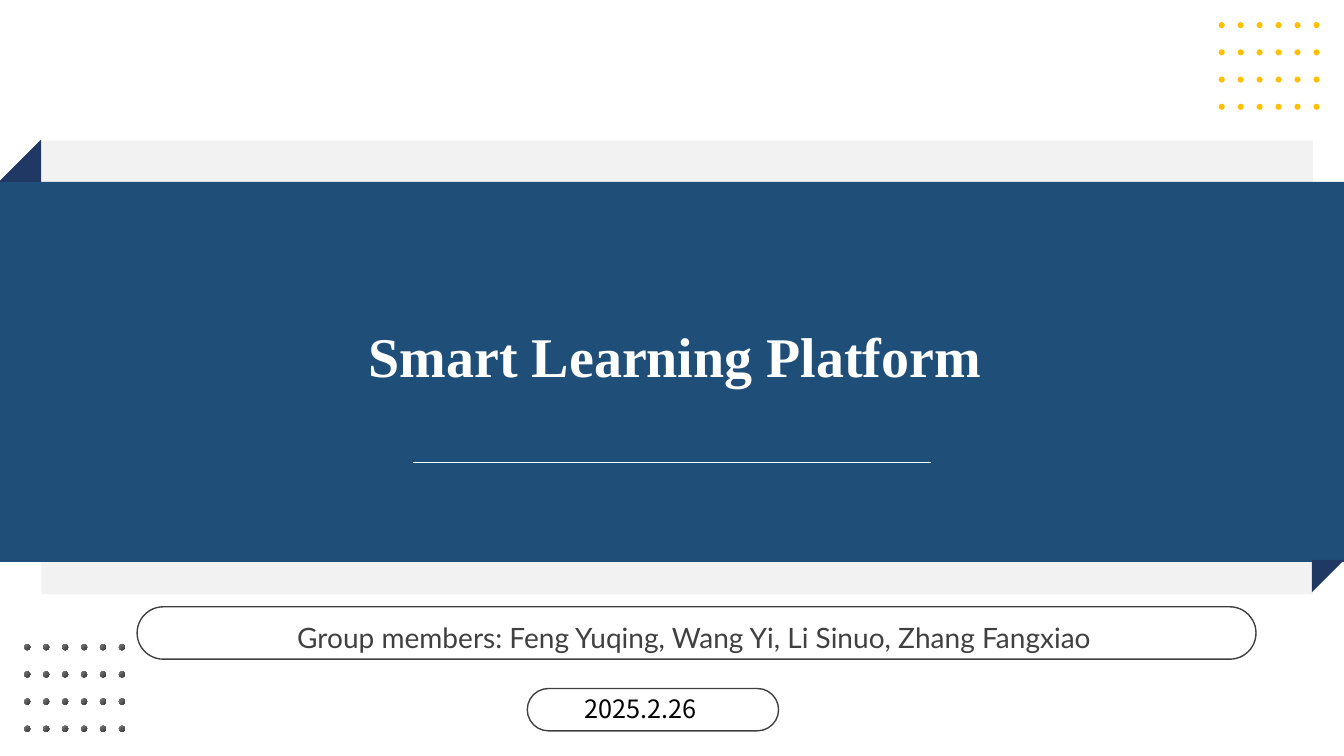
from itertools import product

from pptx import Presentation
from pptx import util as u
from pptx.dml.color import RGBColor
from pptx.enum import shapes, text
from pptx.oxml.ns import qn
from lxml import etree

KIND = shapes.MSO_SHAPE
INK, NAVY, WHITE = "404040", "203864", "FFFFFF"


def colour(hex_code):
    return RGBColor.from_string(hex_code)


class Cover:
    """Draws on one slide, with lengths in percent of its width and height."""

    def __init__(self, deck):
        self.width, self.height = deck.slide_width, deck.slide_height
        self.slide = deck.slides.add_slide(deck.slide_layouts[6])

    def place(self, x, y, w, h):
        across, down = self.width / 100, self.height / 100
        return [u.Emu(round(n)) for n in (x * across, y * down, w * across, h * down)]

    def block(self, box, fill, kind=KIND.RECTANGLE, rotation=0, group=None):
        block = (group or self.slide).shapes.add_shape(kind, *self.place(*box))
        block.shadow.inherit = False
        block.rotation = rotation
        block.line.fill.background()
        if isinstance(fill, tuple):
            block.fill.gradient()
            block.fill.gradient_angle = 315
            for stop, shade in zip(block.fill.gradient_stops, fill):
                stop.color.rgb = colour(shade)
        elif fill:
            block.fill.solid()
            block.fill.fore_color.rgb = colour(fill)
        else:
            block.fill.background()
        return block

    def pill(self, box):
        pill = self.block(box, None, KIND.ROUNDED_RECTANGLE)
        pill.adjustments[0] = 0.5
        pill.line.color.rgb = colour(INK)
        pill.line.width = u.Pt(1)

    def dots(self, left, top, fill):
        group = self.slide.shapes.add_group_shape()
        for row, column in product(range(4), range(6)):
            box = (left + column * 1.41, top + row * 3.6, 0.45, 0.8)
            self.block(box, fill, KIND.OVAL, group=group)

    def rule(self, x, y, length):
        left, top, run, _ = self.place(x, y, length, 0)
        rule = self.slide.shapes.add_connector(
            shapes.MSO_CONNECTOR.STRAIGHT, left, top, left + run, top)
        rule.line.color.rgb = colour(WHITE)
        rule.line.width = u.Pt(0.5)
        etree.SubElement(rule._element.spPr, qn("a:effectLst"))

    def words(self, box, wording, size, face, ink, bold=False,
              align=text.PP_ALIGN.CENTER, anchor=text.MSO_ANCHOR.MIDDLE):
        frame = self.slide.shapes.add_textbox(*self.place(*box)).text_frame
        frame.word_wrap = True
        frame.margin_top = frame.margin_bottom = 0
        frame.vertical_anchor = anchor
        paragraph = frame.paragraphs[0]
        paragraph.text = wording
        paragraph.alignment = align
        font = paragraph.font
        font.size, font.name, font.bold = u.Pt(size), face, bold
        font.color.rgb = colour(ink)


def main():
    deck = Presentation()
    deck.slide_width, deck.slide_height = u.Inches(13.33), u.Inches(7.5)
    cover = Cover(deck)
    cover.block((3.08, 18.6, 94.6, 60), "F2F2F2")
    cover.words((12.15, 81.33, 79, 5.87),
                "Group members: Feng Yuqing, Wang Yi, Li Sinuo, Zhang Fangxiao",
                20, "Lato", INK)
    cover.pill((10.2, 80.27, 83.25, 6.93))
    cover.pill((39.23, 91.07, 18.7, 5.6))
    cover.block((0, 24.07, 100, 50.27), "1F4E79")
    cover.words((6, 41.07, 88.43, 11.73), "Smart Learning Platform",
                40, "Times New Roman", WHITE, bold=True)
    cover.dots(90.68, 2.93, "FFC000")
    cover.dots(1.8, 85.2, ("808080", "3B3838"))
    cover.block((97.6, 74.07, 2.4, 4.27), NAVY, KIND.RIGHT_TRIANGLE, 90)
    cover.block((-0.1, 18.47, 3.15, 5.6), NAVY, KIND.RIGHT_TRIANGLE, 270)
    cover.rule(30.75, 61.2, 38.55)
    cover.words((42.75, 91.73, 11.6, 4.27), "2025.2.26", 18, "Noto Sans CJK SC",
                "000000", align=text.PP_ALIGN.LEFT, anchor=text.MSO_ANCHOR.TOP)
    deck.save("out.pptx")


if __name__ == "__main__":
    main()
